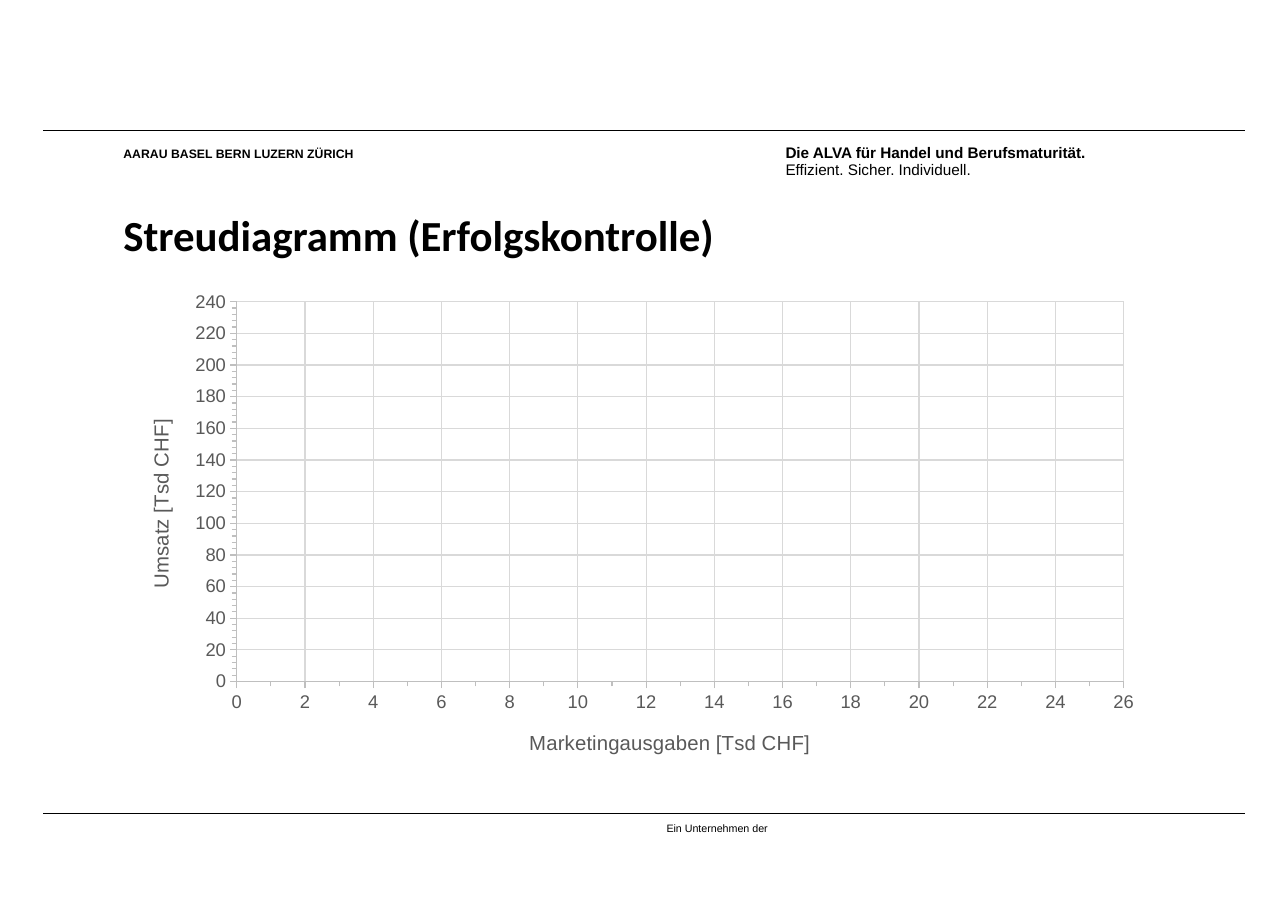
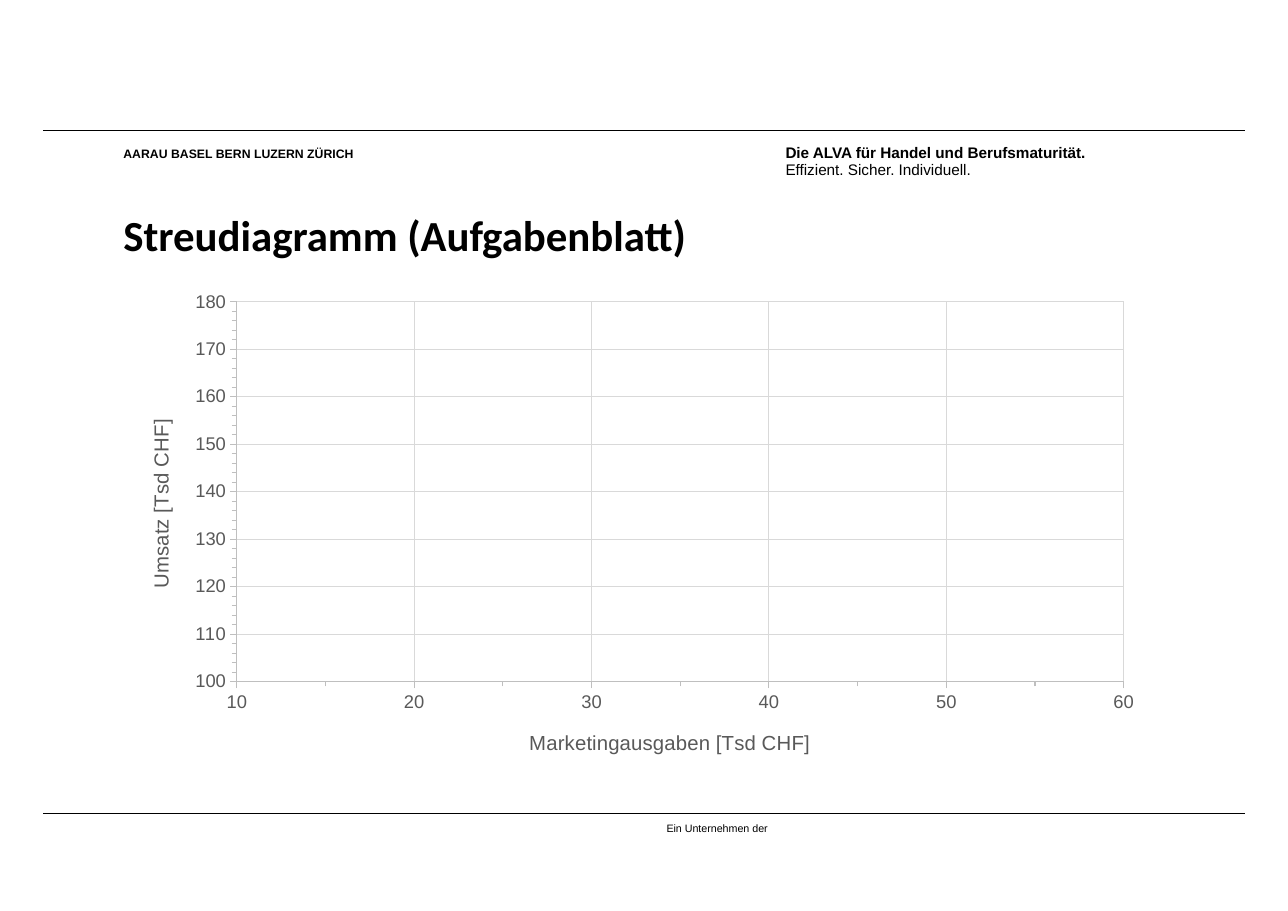
"""Two landscape worksheets, each with an empty scatter grid to fill in."""
from dataclasses import dataclass
from typing import Optional

from lxml import etree
from pptx import Presentation
from pptx.chart.axis import ValueAxis
from pptx.chart.data import XyChartData
from pptx.dml.color import RGBColor
from pptx.enum.chart import XL_CHART_TYPE, XL_MARKER_STYLE, XL_TICK_MARK
from pptx.enum.shapes import MSO_CONNECTOR
from pptx.enum.text import MSO_ANCHOR
from pptx.oxml.ns import qn
from pptx.slide import Slide
from pptx.util import Emu, Inches, Pt

SCATTER = XL_CHART_TYPE.XY_SCATTER
CIRCLE = XL_MARKER_STYLE.CIRCLE
OUTSIDE = XL_TICK_MARK.OUTSIDE
STRAIGHT = MSO_CONNECTOR.STRAIGHT
TOP, BOTTOM = MSO_ANCHOR.TOP, MSO_ANCHOR.BOTTOM

WIDTH, HEIGHT = Inches(11.69), Inches(8.27)
COLORS = {"text": "000000", "label": "595959", "axis": "BFBFBF",
          "grid": "D9D9D9", "paper": "FFFFFF"}
BODY_FONT, TITLE_FONT = "Arial", "Calibri"
MARGIN, CONTENT = 9.58, 80.07
RULE_LEFT, RULE_RIGHT = 3.34, 96.66
RULE_TOPS = (14.27, 89.24)


@dataclass(frozen=True)
class Box:
    """A rectangle in hundredths of the slide's width and height."""
    left: float
    top: float
    width: float
    height: float

    def place(self) -> tuple[Emu, Emu, Emu, Emu]:
        """Return the rectangle as slide lengths."""
        return (across(self.left), down(self.top),
                across(self.width), down(self.height))


@dataclass(frozen=True)
class Line:
    """One line of text with its size and weight."""
    text: str
    size: float
    bold: bool = False


@dataclass(frozen=True)
class Label:
    """A text block that every slide carries."""
    box: Box
    lines: tuple[Line, ...]
    spacing: float


@dataclass(frozen=True)
class Scale:
    """Range and steps of one axis."""
    low: float
    high: float
    major: float
    minor: float


@dataclass(frozen=True)
class Worksheet:
    """Title and axis scales of one slide."""
    title: str
    x: Scale
    y: Scale


TITLE_BOX = Box(MARGIN, 22.49, CONTENT, 6.05)
CHART_BOX = Box(MARGIN, 30.96, CONTENT, 54.17)
LABELS = (
    Label(Box(60.99, 15.87, 28.91, 3.75),
          (Line("Die ALVA für Handel und Berufsmaturität.", 10, True),
           Line("Effizient. Sicher. Individuell.", 10)), 11),
    Label(Box(MARGIN, 15.87, 28.91, 1.88),
          (Line("AARAU BASEL BERN LUZERN ZÜRICH", 8, True),), 11),
    Label(Box(51.75, 90.45, 12.49, 1.21), (Line("Ein Unternehmen der", 7),), 7),
)
WORKSHEETS = (
    Worksheet("Streudiagramm (Erfolgskontrolle)",
              Scale(0, 26, 2, 1), Scale(0, 240, 20, 4)),
    Worksheet("Streudiagramm (Aufgabenblatt)",
              Scale(10, 60, 10, 5), Scale(100, 180, 10, 2)),
)
POINTS = [(2020, None)] * 5 + [(2020, 50)]


def across(share: float) -> Emu:
    """Turn hundredths of the slide's width into a length."""
    return Emu(round(WIDTH * share / 100))


def down(share: float) -> Emu:
    """Turn hundredths of the slide's height into a length."""
    return Emu(round(HEIGHT * share / 100))


def color(name: str) -> RGBColor:
    """Look up a palette colour."""
    return RGBColor.from_string(COLORS[name])


def add_text(slide: Slide, box: Box, lines: tuple[Line, ...], font: str,
             spacing: Optional[float] = None, anchor: MSO_ANCHOR = TOP) -> None:
    """Add a text box without insets, one paragraph per line."""
    tf = slide.shapes.add_textbox(*box.place()).text_frame
    tf.word_wrap = True
    tf.vertical_anchor = anchor
    tf.margin_left = tf.margin_right = tf.margin_top = tf.margin_bottom = 0
    tf.text = "\n".join(line.text for line in lines)
    for p, line in zip(tf.paragraphs, lines):
        if spacing:
            p.line_spacing = Pt(spacing)
        r = p.runs[0]
        r.font.name, r.font.size, r.font.bold = font, Pt(line.size), line.bold
        r.font.color.rgb = color("text")


def add_frame(slide: Slide) -> None:
    """Draw the rules, header and footer shared by all slides."""
    for top in RULE_TOPS:
        rule = slide.shapes.add_connector(
            STRAIGHT, across(RULE_RIGHT), down(top), across(RULE_LEFT), down(top))
        rule.line.color.rgb = color("text")
        rule.line.width = Pt(0.34)
        etree.SubElement(rule._element.spPr, qn("a:effectLst"))
    for label in LABELS:
        add_text(slide, label.box, label.lines, BODY_FONT, label.spacing)


def set_layout(parent: etree._Element, index: int, **values: float) -> None:
    """Fix a chart part's place in shares of the chart area."""
    for old in parent.findall(qn("c:layout")):
        parent.remove(old)
    layout = etree.Element(qn("c:layout"))
    manual = etree.SubElement(layout, qn("c:manualLayout"))
    settings: dict[str, object] = {"xMode": "edge", "yMode": "edge", **values}
    if "w" in values:
        settings = {"layoutTarget": "inner", **settings}
    for tag, value in settings.items():
        etree.SubElement(manual, qn(f"c:{tag}")).set("val", str(value))
    parent.insert(index, layout)


def style_axis(axis: ValueAxis, scale: Scale, title: str, x: float, y: float,
               rotation: int = 0) -> None:
    """Set an axis's range, ticks, grid, labels and title."""
    axis.minimum_scale, axis.maximum_scale = scale.low, scale.high
    axis.major_unit, axis.minor_unit = scale.major, scale.minor
    axis.major_tick_mark = axis.minor_tick_mark = OUTSIDE
    axis.has_major_gridlines = True
    for part, name in ((axis, "axis"), (axis.major_gridlines, "grid")):
        part.format.line.color.rgb = color(name)
        part.format.line.width = Pt(0.75)
    tf = axis.axis_title.text_frame
    tf.text = title
    tf._txBody.bodyPr.set("rot", str(rotation * 60000))
    for font, size in ((axis.tick_labels.font, 12),
                       (tf.paragraphs[0].runs[0].font, 13.3)):
        font.name, font.size, font.bold = BODY_FONT, Pt(size), False
        font.color.rgb = color("label")
    set_layout(axis.axis_title._element, 1, x=x, y=y)


def add_scatter(slide: Slide, sheet: Worksheet) -> None:
    """Add the scatter chart with the worksheet's scales."""
    data = XyChartData()
    series = data.add_series("Series 1")
    for x, y in POINTS:
        series.add_data_point(x, y)
    chart = slide.shapes.add_chart(SCATTER, *CHART_BOX.place(), data).chart
    chart.has_legend = chart.has_title = False
    chart.font.name, chart.font.size = BODY_FONT, Pt(10)
    chart.font.color.rgb = color("text")
    plot = chart.plots[0]
    plot.vary_by_categories = False
    dots = plot.series[0]
    for pt in dots._element.xpath("c:yVal//c:pt")[:-1]:
        pt.getparent().remove(pt)
    dots.format.line.fill.background()
    dots.marker.style, dots.marker.size = CIRCLE, 5
    dots.marker.format.fill.solid()
    dots.marker.format.fill.fore_color.rgb = color("paper")
    dots.marker.format.line.color.rgb = color("paper")
    style_axis(chart.category_axis, sheet.x, "Marketingausgaben [Tsd CHF]", 0.39, 0.9)
    style_axis(chart.value_axis, sheet.y, "Umsatz [Tsd CHF]", 0.02, 0.27, -90)
    plot_area = chart._chartSpace.chart.plotArea
    set_layout(plot_area, 0, x=0.11, y=0.04, w=0.86, h=0.77)


def main() -> None:
    """Build and save the presentation."""
    prs = Presentation()
    prs.slide_width, prs.slide_height = WIDTH, HEIGHT
    for sheet in WORKSHEETS:
        slide = prs.slides.add_slide(prs.slide_layouts[6])
        add_frame(slide)
        add_text(slide, TITLE_BOX, (Line(sheet.title, 28, True),), TITLE_FONT,
                 anchor=BOTTOM)
        add_scatter(slide, sheet)
    prs.save("out.pptx")


if __name__ == "__main__":
    main()
